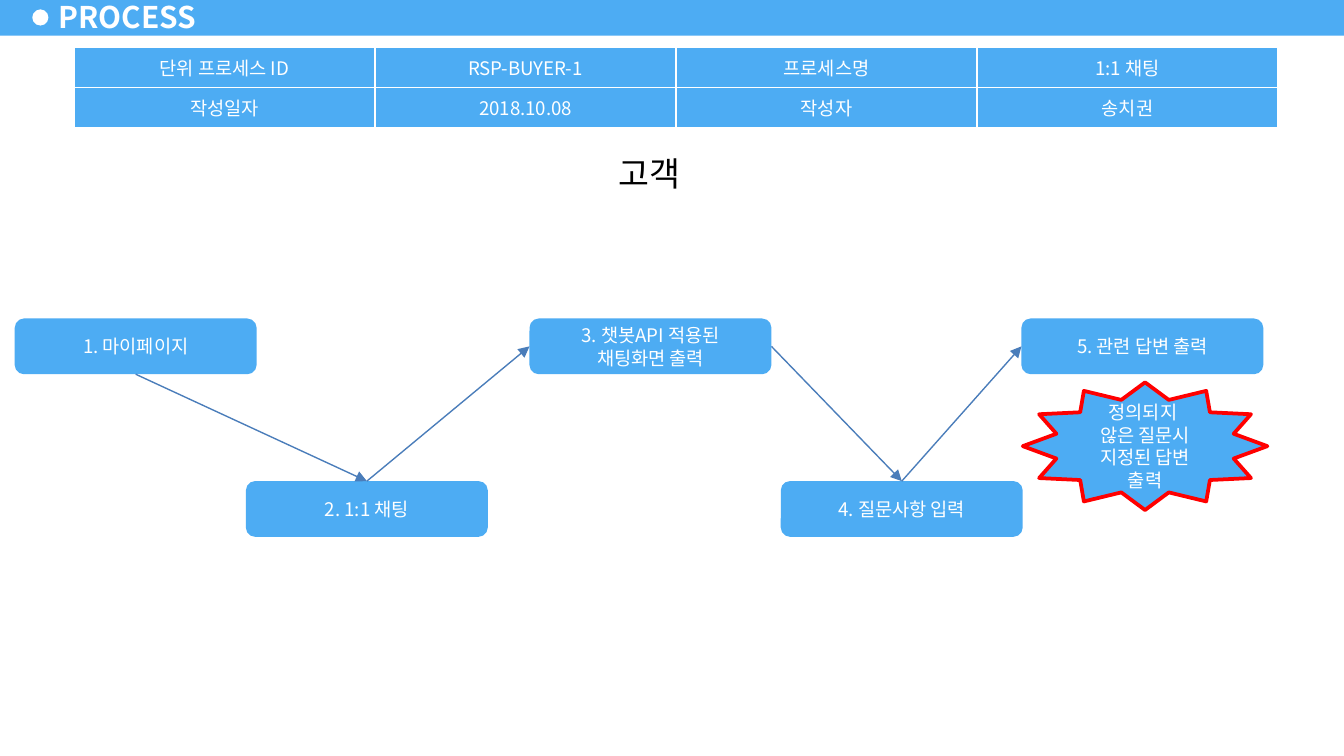
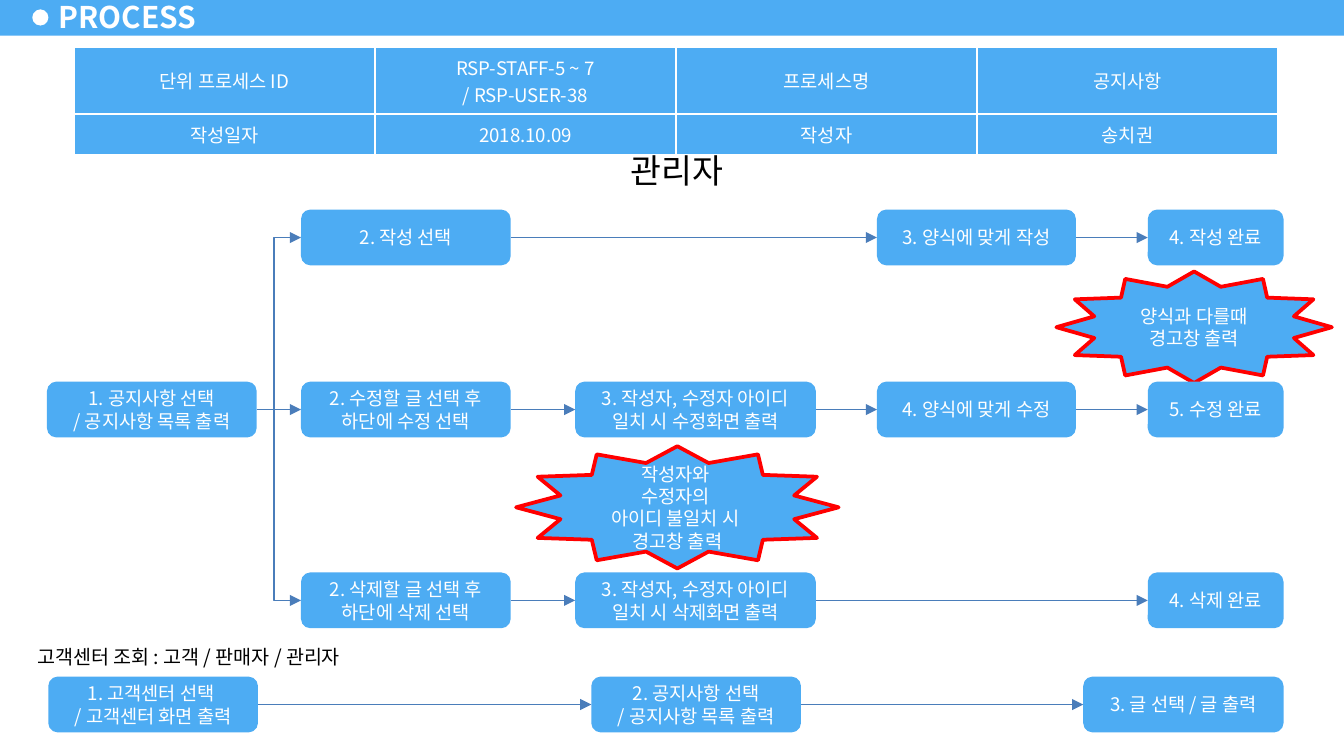
from copy import deepcopy
from itertools import pairwise

from lxml import etree
from pptx import Presentation
from pptx.dml.color import RGBColor
from pptx.enum.shapes import MSO_CONNECTOR, MSO_SHAPE
from pptx.enum.text import MSO_ANCHOR, MSO_AUTO_SIZE, PP_ALIGN
from pptx.oxml.ns import qn
from pptx.util import Inches, Pt

RECTANGLE, OVAL = MSO_SHAPE.RECTANGLE, MSO_SHAPE.OVAL
ROUNDED, STAR = MSO_SHAPE.ROUNDED_RECTANGLE, MSO_SHAPE.STAR_12_POINT
STRAIGHT, ELBOW = MSO_CONNECTOR.STRAIGHT, MSO_CONNECTOR.ELBOW
LEFT, CENTER = PP_ALIGN.LEFT, PP_ALIGN.CENTER
TOP, MIDDLE = MSO_ANCHOR.TOP, MSO_ANCHOR.MIDDLE
NO_AUTOFIT = MSO_AUTO_SIZE.NONE

FONT = "Noto Sans CJK KR"
BLUE, WHITE, BLACK, RED, LINE_BLUE = "4DACF3", "FFFFFF", "000000", "FF0000", "4A7DBA"

# The slide is 16:9, a grid of 100 columns; boxes are (left, top, width, height).
COLUMNS = 100
ROWS = COLUMNS * 9 / 16
STEP_HEIGHT = 4.15
# The table's frame is a square; its columns and rows set the drawn size.
TABLE_BOX = (5.5, 3.5, 32.8, 32.8)
TABLE_COLUMN = 22.4
# Connection sites of a box
SITE_TOP, SITE_LEFT, SITE_BOTTOM, SITE_RIGHT = range(4)


def grid(units):
    """Turn grid units into a length."""
    return Inches(units / 10)


def color(hex_string):
    """Turn a hex string into a colour."""
    return RGBColor.from_string(hex_string)


def write_text(frame, text, size=10, font_color=WHITE, bold=False, align=CENTER,
               anchor=MIDDLE, wrap=True):
    """Write text: a newline starts a paragraph, a vertical tab breaks the line."""
    frame.word_wrap = wrap
    frame.vertical_anchor = anchor
    frame.text = text
    for paragraph in frame.paragraphs:
        paragraph.alignment = align
        for run in paragraph.runs:
            run.font.name = FONT
            run.font.size = Pt(size)
            run.font.bold = bold
            run.font.color.rgb = color(font_color)
        for line_break in paragraph._p.findall(qn("a:br")):
            line_break.append(deepcopy(paragraph.runs[0]._r.rPr))


def add_box(slide, kind, box, text="", fill=BLUE, outline=None, **text_format):
    """Add a filled preset shape, with text if there is any."""
    shape = slide.shapes.add_shape(kind, *map(grid, box))
    shape.shadow.inherit = False
    shape.fill.solid()
    shape.fill.fore_color.rgb = color(fill)
    if outline:
        shape.line.color.rgb = color(outline)
        shape.line.width = Pt(2)
    else:
        shape.line.fill.background()
    if text:
        write_text(shape.text_frame, text, **text_format)
    return shape


def add_step(slide, box, text):
    """Add one process step."""
    return add_box(slide, ROUNDED, box, text)


def add_warning(slide, box, text):
    """Add a red-edged star for an exception."""
    return add_box(slide, STAR, box, text, outline=RED)


def add_heading(slide, box, text, size=18):
    """Add a plain black heading on white."""
    return add_box(slide, RECTANGLE, box, text, fill=WHITE, size=size,
                   font_color=BLACK, anchor=TOP)


def format_arrow(connector):
    """Give a connector its colour, width and arrowhead."""
    connector.line.color.rgb = color(LINE_BLUE)
    connector.line.width = Pt(0.75)
    etree.SubElement(connector.line._get_or_add_ln(), qn("a:tailEnd"), type="triangle")
    etree.SubElement(connector._element.spPr, qn("a:effectLst"))


def connect(slide, start, end, start_site=SITE_RIGHT, end_site=SITE_LEFT):
    """Join two steps with a straight arrow."""
    connector = slide.shapes.add_connector(STRAIGHT, 0, 0, 0, 0)
    connector.begin_connect(start, start_site)
    connector.end_connect(end, end_site)
    format_arrow(connector)


def add_branch(slide, trunk, start, end):
    """Add an arrow that leaves the trunk column vertically and turns right into a step."""
    start_y = start.top + start.height // 2
    end_y = end.top + end.height // 2
    center_x, center_y = (trunk + end.left) // 2, (start_y + end_y) // 2
    half_run, half_rise = (end.left - trunk) // 2, (start_y - end_y) // 2
    connector = slide.shapes.add_connector(
        ELBOW, center_x - half_rise, center_y - half_run,
        center_x + half_rise, center_y + half_run)
    properties = connector._element.spPr
    properties.find(qn("a:prstGeom")).set("prst", "bentConnector2")
    properties.find(qn("a:xfrm")).set("rot", str(270 * 60000))
    format_arrow(connector)


def add_step_row(slide, top, cells):
    """Add a row of (left, width, text) steps, each joined to the next."""
    steps = [add_step(slide, (left, top, width, STEP_HEIGHT), text)
             for left, width, text in cells]
    for start, end in pairwise(steps):
        connect(slide, start, end)
    return steps


def add_info_table(slide, box, rows, heights):
    """Add the table that identifies the process."""
    frame = slide.shapes.add_table(len(rows), len(rows[0]), *map(grid, box))
    table = frame.table
    for column in table.columns:
        column.width = grid(TABLE_COLUMN)
    for row, height, texts in zip(table.rows, heights, rows):
        row.height = grid(height)
        for cell, text in zip(row.cells, texts):
            cell.margin_left = cell.margin_right = Inches(0.1)
            cell.margin_top = cell.margin_bottom = Inches(0.05)
            for side in ("a:lnL", "a:lnR", "a:lnT", "a:lnB"):
                border = etree.SubElement(cell._tc.get_or_add_tcPr(), qn(side), w=str(Pt(1)))
                fill = etree.SubElement(border, qn("a:solidFill"))
                etree.SubElement(fill, qn("a:srgbClr"), val=WHITE)
            cell.fill.solid()
            cell.fill.fore_color.rgb = color(BLUE)
            cell.vertical_anchor = MIDDLE
            write_text(cell.text_frame, text)
    frame.width, frame.height = map(grid, box[2:])


def add_band(slide, layout):
    """Build the title band and its dot, and move them to the layout."""
    parts = [add_box(slide, RECTANGLE, (0, -0.2, COLUMNS, 2.85)),
             add_box(slide, OVAL, (2.4, 0.7, 1.2, 1.2), fill=WHITE)]
    for index, part in enumerate(parts):
        part._element.nvSpPr.cNvPr.set("id", str(100 + index))
        layout.shapes.element.insert(2 + index, part._element)


def add_process_slide(presentation, layout):
    """Add a slide with the shared title."""
    slide = presentation.slides.add_slide(layout)
    title = slide.shapes.title
    title.left, title.top, title.width, title.height = map(grid, (3.45, -0.4, 12.2, 3.2))
    frame = title.text_frame
    frame.auto_size = NO_AUTOFIT
    frame.margin_left = frame.margin_right = Inches(0.09)
    frame.margin_top = frame.margin_bottom = Inches(0.04)
    write_text(frame, "PROCESS", size=16, bold=True, align=LEFT, wrap=False)
    return slide


def add_chat_flow(slide, box):
    """Draw the zigzag of chat steps between the top and the bottom of a box."""
    left, top, width, height = box
    step_width = 18
    low = top + height - STEP_HEIGHT
    places = [(0, top, "1. 마이페이지"),
              (17.2, low, "2. 1:1 채팅"),
              (38.3, top, "3. 챗봇API 적용된\n채팅화면 출력"),
              (57, low, "4. 질문사항 입력"),
              (width - step_width, top, "5. 관련 답변 출력")]
    steps = [add_step(slide, (left + offset, y, step_width, STEP_HEIGHT), text)
             for offset, y, text in places]
    add_warning(slide, (left + 75, top + 4.75, 18.2, 9.5),
                "정의되지 \v않은 질문시 지정된 답변 출력")
    sites = [(SITE_BOTTOM, SITE_TOP), (SITE_TOP, SITE_LEFT),
             (SITE_RIGHT, SITE_TOP), (SITE_TOP, SITE_LEFT)]
    for (start, end), (start_site, end_site) in zip(pairwise(steps), sites):
        connect(slide, start, end, start_site, end_site)


def add_notice_flow(slide, box):
    """Draw the three branches of notice steps inside a box."""
    left, top, width, height = box
    list_column, choice, check, form = (0, 15.6), (18.9, 15.6), (39.3, 17.9), (61.75, 14.8)
    done = (width - 10.1, 10.1)
    add_warning(slide, (left + 75.1, top + 4.6, 20.5, 8.3), "양식과 다를때\v경고창 출력")
    add_warning(slide, (left + 34.9, top + 17.6, 24, 9.1),
                "작성자와 \v수정자의 \v아이디 불일치 시 \v경고창 출력")
    branches = [
        (0, [(choice, "2. 작성 선택"),
             (form, "3. 양식에 맞게 작성"),
             (done, "4. 작성 완료")]),
        (12.8, [(list_column, "1. 공지사항 선택\n/ 공지사항 목록 출력"),
                (choice, "2. 수정할 글 선택 후\n하단에 수정 선택"),
                (check, "3. 작성자, 수정자 아이디 일치 시 수정화면 출력"),
                (form, "4. 양식에 맞게 수정"),
                (done, "5. 수정 완료")]),
        (height - STEP_HEIGHT, [
            (choice, "2. 삭제할 글 선택 후\n하단에 삭제 선택"),
            (check, "3. 작성자, 수정자 아이디 일치 시 삭제화면 출력"),
            (done, "4. 삭제 완료")]),
    ]
    write_row, edit_row, delete_row = [
        add_step_row(slide, top + offset,
                     [(left + x, step_width, text) for (x, step_width), text in cells])
        for offset, cells in branches]
    for row in (write_row, delete_row):
        add_branch(slide, grid(left + 16.9), edit_row[0], row[0])


def add_support_flow(slide, box):
    """Draw the support centre caption and its row of steps."""
    left, top, width = box
    add_heading(slide, (0, top, 28.1, 2.8), "고객센터 조회 : 고객 / 판매자 / 관리자", size=10.5)
    add_step_row(slide, top + 2.85, [
        (left, 15.6, "1. 고객센터 선택 \n/ 고객센터 화면 출력"),
        (left + 40.4, 15.6, "2. 공지사항 선택\n/ 공지사항 목록 출력"),
        (left + width - 14.9, 14.9, "3. 글 선택 / 글 출력")])


def info_rows(process_id, name, date):
    """Give the wording of the process table."""
    return [("단위 프로세스 ID", process_id, "프로세스명", name),
            ("작성일자", date, "작성자", "송치권")]


def main():
    """Build and save the presentation."""
    presentation = Presentation()
    presentation.slide_width, presentation.slide_height = grid(COLUMNS), grid(ROWS)
    layout = presentation.slide_layouts[5]

    chat = add_process_slide(presentation, layout)
    add_band(chat, layout)
    add_chat_flow(chat, (1.1, 23.7, 92.9, 16.25))
    add_heading(chat, (30.5, 10.9, 35.7, 4.1), "고객")
    add_info_table(chat, TABLE_BOX, info_rows("RSP-BUYER-1", "1:1 채팅", "2018.10.08"),
                   (2.8, 2.8))

    notice = add_process_slide(presentation, layout)
    add_heading(notice, (32.5, 10.7, 35.7, 4), "관리자")
    add_info_table(notice, TABLE_BOX,
                   info_rows("RSP-STAFF-5 ~ 7\n/ RSP-USER-38", "공지사항", "2018.10.09"),
                   (4.4, 2.8))
    add_notice_flow(notice, (3.5, 15.6, 92, 31.15))
    add_support_flow(notice, (3.6, 47.5, 91.9))

    presentation.save("out.pptx")


main()
